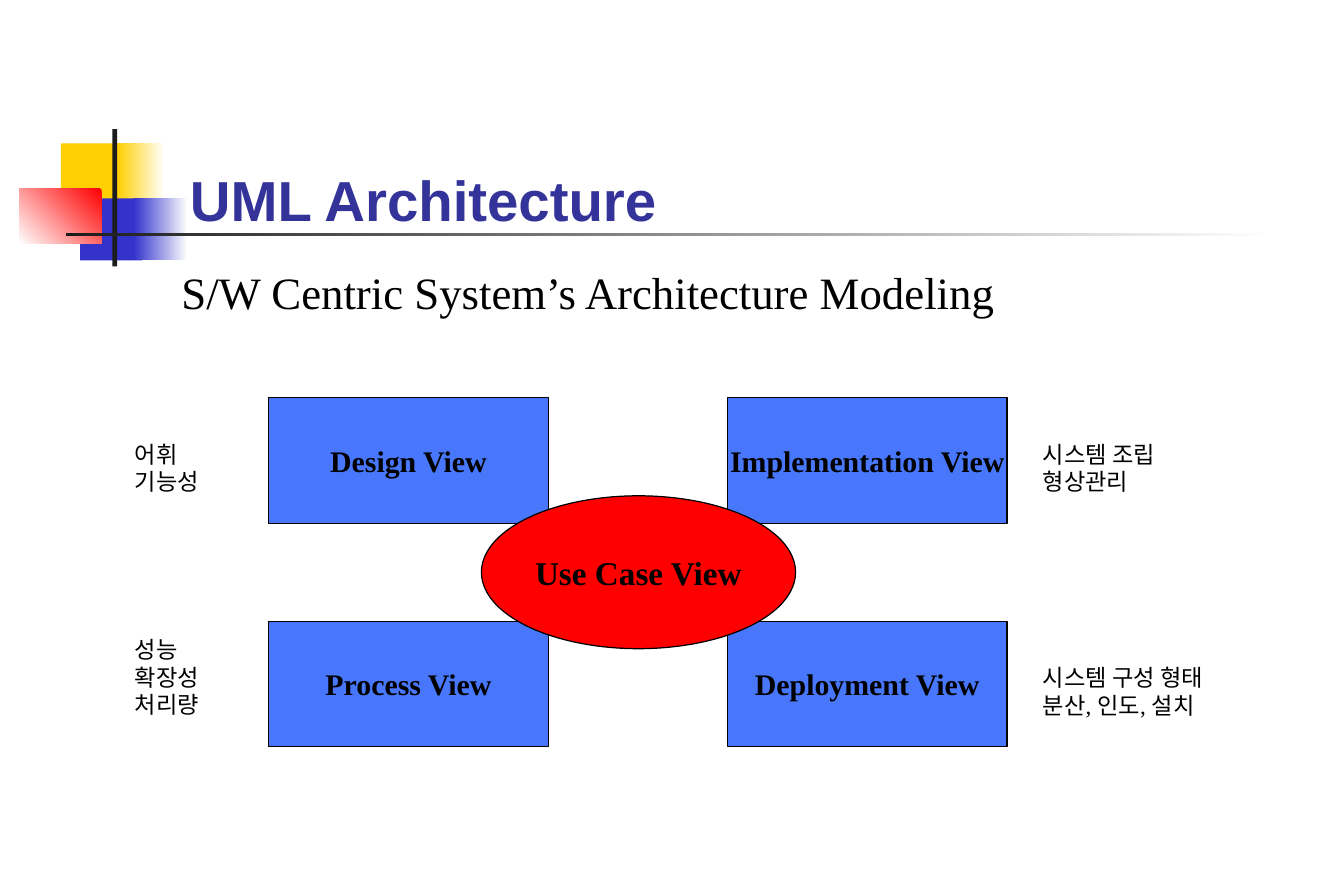
from pptx import Presentation
from pptx.dml.color import RGBColor
from pptx.enum.shapes import MSO_SHAPE
from pptx.enum.text import MSO_ANCHOR, MSO_AUTO_SIZE, PP_ALIGN
from pptx.util import Pt

RECT, OVAL = MSO_SHAPE.RECTANGLE, MSO_SHAPE.OVAL
TOP, MIDDLE, BOTTOM = MSO_ANCHOR.TOP, MSO_ANCHOR.MIDDLE, MSO_ANCHOR.BOTTOM
LEFT, CENTER = PP_ALIGN.LEFT, PP_ALIGN.CENTER
FIXED = MSO_AUTO_SIZE.NONE
PX = 9144
COLORS = {
    "white": "FFFFFF", "black": "000000", "ink": "1C1C1C", "gold": "FFCF01",
    "blue": "3333CC", "red": "FF0000", "view": "4877FC", "title": "333399",
}


class Deck:
    serif, sans = "Times New Roman", "Arial"

    def __init__(self, wide, high):
        self.deck = Presentation()
        self.deck.slide_width, self.deck.slide_height = wide * PX, high * PX
        self.slide = self.deck.slides.add_slide(self.deck.slide_layouts[5])

    def color(self, name):
        return RGBColor.from_string(COLORS[name])

    def words(self, shape, lines, size, anchor, align=LEFT, bold=False,
              font=serif, color="black", wrap=True, space=1.0):
        frame = shape.text_frame
        frame.auto_size = FIXED
        frame.word_wrap = wrap
        frame.vertical_anchor = anchor
        for i, line in enumerate(lines):
            para = frame.add_paragraph() if i else frame.paragraphs[0]
            para.alignment = align
            para.line_spacing = space
            run = para.add_run()
            run.text = line
            run.font.name, run.font.size, run.font.bold = font, Pt(size), bold
            run.font.color.rgb = self.color(color)

    def title(self, text, x, y, w, h):
        shape = self.slide.shapes.title
        shape.left, shape.top, shape.width, shape.height = (n * PX for n in (x, y, w, h))
        self.words(shape, [text], 34, BOTTOM, bold=True, font=self.sans,
                   color="title", space=1.04)

    def shape(self, kind, x, y, w, h):
        shape = self.slide.shapes.add_shape(kind, x * PX, y * PX, w * PX, h * PX)
        shape.shadow.inherit = False
        return shape

    def block(self, x, y, w, h, color):
        shape = self.shape(RECT, x, y, w, h)
        shape.fill.solid()
        shape.fill.fore_color.rgb = self.color(color)
        shape.line.fill.background()

    def fade(self, x, y, w, h, first, last, angle=180):
        shape = self.shape(RECT, x, y, w, h)
        shape.fill.gradient()
        shape.fill.gradient_angle = angle
        for stop, name in zip(shape.fill.gradient_stops, (first, last)):
            stop.color.rgb = self.color(name)
        shape.line.fill.background()

    def view(self, kind, x, y, w, h, text, color, size):
        shape = self.shape(kind, x, y, w, h)
        shape.fill.solid()
        shape.fill.fore_color.rgb = self.color(color)
        shape.line.color.rgb = self.color("black")
        shape.line.width = Pt(0.75)
        self.words(shape, [text], size, MIDDLE, CENTER, bold=True, wrap=False)

    def label(self, x, y, w, h, lines, size, anchor=MIDDLE):
        box = self.slide.shapes.add_textbox(x * PX, y * PX, w * PX, h * PX)
        box.text_frame.margin_right = 0
        self.words(box, lines, size, anchor)


def main():
    page = Deck(1125, 750)
    page.block(51, 120, 54, 52, "gold")
    page.fade(98, 120, 40, 52, "white", "gold")
    page.block(67, 166, 52, 52, "blue")
    page.fade(112, 166, 45, 52, "white", "blue")
    page.fade(16, 158, 69, 46, "red", "white", 225)
    page.block(94, 108, 4, 115, "ink")
    page.fade(55, 195, 1012, 3, "white", "ink")

    page.title("UML Architecture", 149, 75, 910, 125)
    page.label(142, 217, 918, 517, ["S/W Centric System’s Architecture Modeling"], 27, TOP)

    views = [["Design View", "Implementation View"], ["Process View", "Deployment View"]]
    for row, names in enumerate(views):
        for col, name in enumerate(names):
            page.view(RECT, 225 + 384 * col, 333 + 187 * row, 234, 105, name, "view", 18)
    page.view(OVAL, 403, 415, 263, 128, "Use Case View", "red", 20)

    notes = [
        (863, 345, 169, ["시스템 조립", "형상관리"]),
        (863, 532, 169, ["시스템 구성 형태", "분산, 인도, 설치"]),
        (103, 345, 103, ["어휘", "기능성"]),
        (103, 520, 103, ["성능", "확장성", "처리량"]),
    ]
    for x, y, w, lines in notes:
        page.label(x, y, w, 93, lines, 14)
    page.deck.save("out.pptx")


if __name__ == "__main__":
    main()
